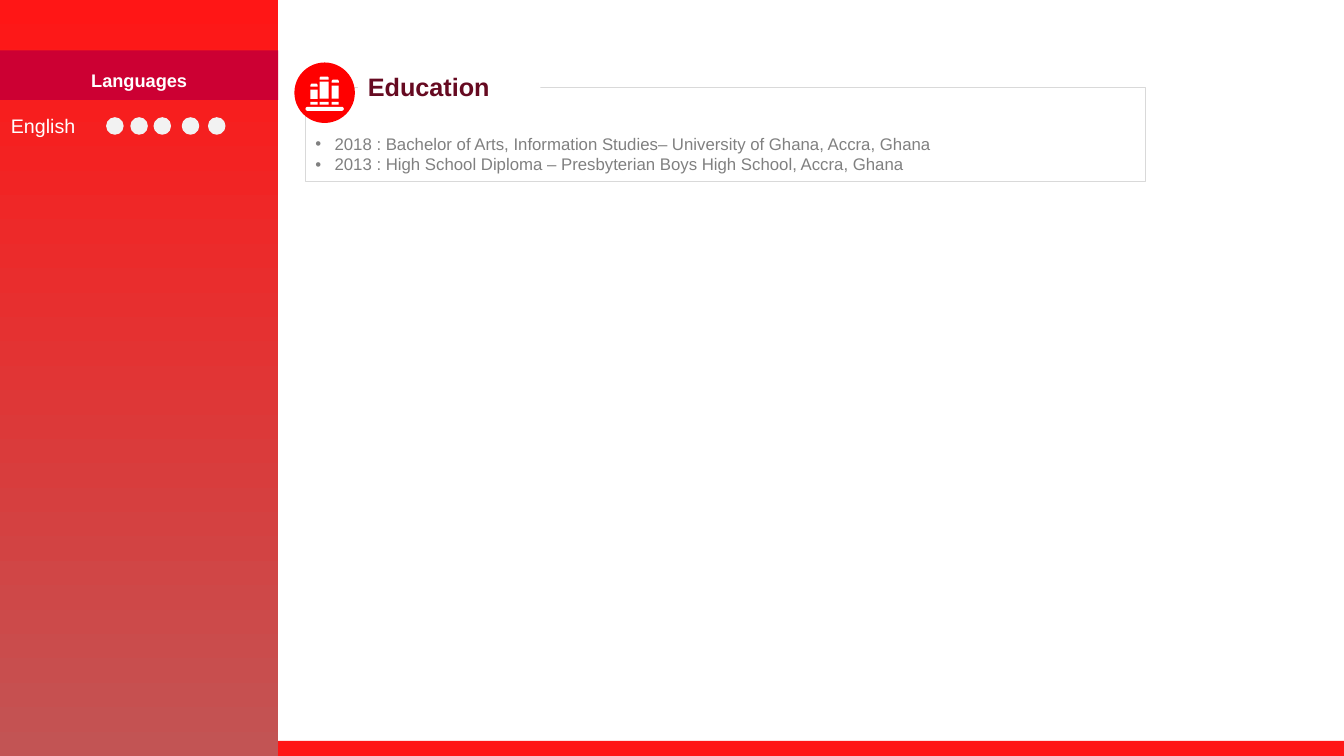
from dataclasses import dataclass

from lxml.etree import SubElement
from pptx import Presentation
from pptx.dml.color import RGBColor
from pptx.enum.shapes import MSO_SHAPE
from pptx.enum.text import MSO_ANCHOR, PP_ALIGN
from pptx.oxml.ns import qn
from pptx.util import Inches, Pt


@dataclass(frozen=True)
class Theme:
    font: str = "Arial"
    red: str = "FF1616"
    faded_red: str = "C25454"
    badge: str = "FF0000"
    banner: str = "CC0033"
    heading: str = "660A21"
    body: str = "808080"
    border: str = "D9D9D9"
    dot: str = "F2F2F2"
    white: str = "FFFFFF"
    heading_size: float = 18
    label_size: float = 14
    banner_size: float = 13
    body_size: float = 12


THEME = Theme()
RATING_LEFTS = (1.06, 1.3, 1.53, 1.81, 2.07)
BOOKS = ((3.08, 0.83, 0.07), (3.17, 0.76, 0.09), (3.29, 0.79, 0.07))
DEGREES = (
    "2018 : Bachelor of Arts, Information Studies– University of Ghana, Accra, Ghana",
    "2013 : High School Diploma – Presbyterian Boys High School, Accra, Ghana",
)


def add_block(slide, bounds, fill=None, line=None, width=1, kind=MSO_SHAPE.RECTANGLE):
    block = slide.shapes.add_shape(kind, *map(Inches, bounds))
    block.shadow.inherit = False
    if fill:
        block.fill.solid()
        block.fill.fore_color.rgb = RGBColor.from_string(fill)
    else:
        block.fill.background()
    if line:
        block.line.color.rgb = RGBColor.from_string(line)
        block.line.width = Pt(width)
    else:
        block.line.fill.background()
    return block


def write(frame, lines, color, size, bold=False, wrap=True,
          anchor=MSO_ANCHOR.MIDDLE, **paragraph_format):
    frame.word_wrap = wrap
    frame.vertical_anchor = anchor
    paragraph_format = {"alignment": PP_ALIGN.LEFT, **paragraph_format}
    font_format = {"name": THEME.font, "size": Pt(size), "bold": bold}
    for index, line in enumerate(lines):
        paragraph = frame.add_paragraph() if index else frame.paragraphs[0]
        for key, value in paragraph_format.items():
            setattr(paragraph, key, value)
        run = paragraph.add_run()
        run.text = line
        for key, value in font_format.items():
            setattr(run.font, key, value)
        run.font.color.rgb = RGBColor.from_string(color)


def add_bullets(frame, indent):
    for paragraph in frame.paragraphs:
        properties = paragraph._p.get_or_add_pPr()
        properties.set("marL", str(Inches(indent)))
        properties.set("indent", str(-Inches(indent)))
        SubElement(properties, qn("a:buFont"), typeface=THEME.font)
        SubElement(properties, qn("a:buChar"), char="•")


def add_background(slide):
    add_block(slide, (0, 7.35, 13.33, 0.15), THEME.red)
    sidebar = add_block(slide, (0, 0, 2.76, 7.5))
    sidebar.fill.gradient()
    sidebar.fill.gradient_angle = 270
    for stop, color in zip(sidebar.fill.gradient_stops, (THEME.red, THEME.faded_red)):
        stop.color.rgb = RGBColor.from_string(color)


def add_book_badge(slide):
    add_block(slide, (2.92, 0.62, 0.6, 0.6), THEME.badge, kind=MSO_SHAPE.OVAL)
    for left, top, width in BOOKS:
        cap = add_block(slide, (left, top, width, 0.03), THEME.white,
                        kind=MSO_SHAPE.ROUND_2_SAME_RECTANGLE)
        cap.adjustments[0] = 0.5
        cover_top = top + 0.06 if width < 0.09 else top + 0.05
        add_block(slide, (left, cover_top, width, 0.98 - cover_top), THEME.white)
        add_block(slide, (left, 1.01, width, 0.03), THEME.white)
    shelf = add_block(slide, (3.03, 1.06, 0.38, 0.04), THEME.white,
                      kind=MSO_SHAPE.ROUNDED_RECTANGLE)
    shelf.adjustments[0] = 0.5


def add_education(slide):
    degrees = add_block(slide, (3.03, 0.87, 8.33, 0.93), line=THEME.border, width=0.25)
    degrees.text_frame.margin_bottom = Inches(0.07)
    write(degrees.text_frame, DEGREES, THEME.body, THEME.body_size,
          anchor=MSO_ANCHOR.BOTTOM)
    add_bullets(degrees.text_frame, 0.19)
    add_book_badge(slide)
    heading = add_block(slide, (3.55, 0.66, 1.81, 0.4), THEME.white)
    write(heading.text_frame, ["Education"], THEME.heading, THEME.heading_size, bold=True)


def add_languages(slide):
    banner = add_block(slide, (0, 0.5, 2.76, 0.49), THEME.banner)
    write(banner.text_frame, ["Languages"], THEME.white, THEME.banner_size, bold=True,
          alignment=PP_ALIGN.CENTER, line_spacing=1.5)
    language = slide.shapes.add_textbox(*map(Inches, (0.01, 1.08, 0.85, 0.34)))
    write(language.text_frame, ["English"], THEME.white, THEME.label_size, wrap=False,
          anchor=MSO_ANCHOR.TOP)
    for left in RATING_LEFTS:
        add_block(slide, (left, 1.17, 0.16, 0.16), THEME.dot, THEME.dot,
                  kind=MSO_SHAPE.FLOWCHART_CONNECTOR)


def main():
    deck = Presentation()
    deck.slide_width, deck.slide_height = Inches(13.33), Inches(7.5)
    slide = deck.slides.add_slide(deck.slide_layouts[6])
    add_background(slide)
    add_education(slide)
    add_languages(slide)
    deck.save("out.pptx")


if __name__ == "__main__":
    main()
